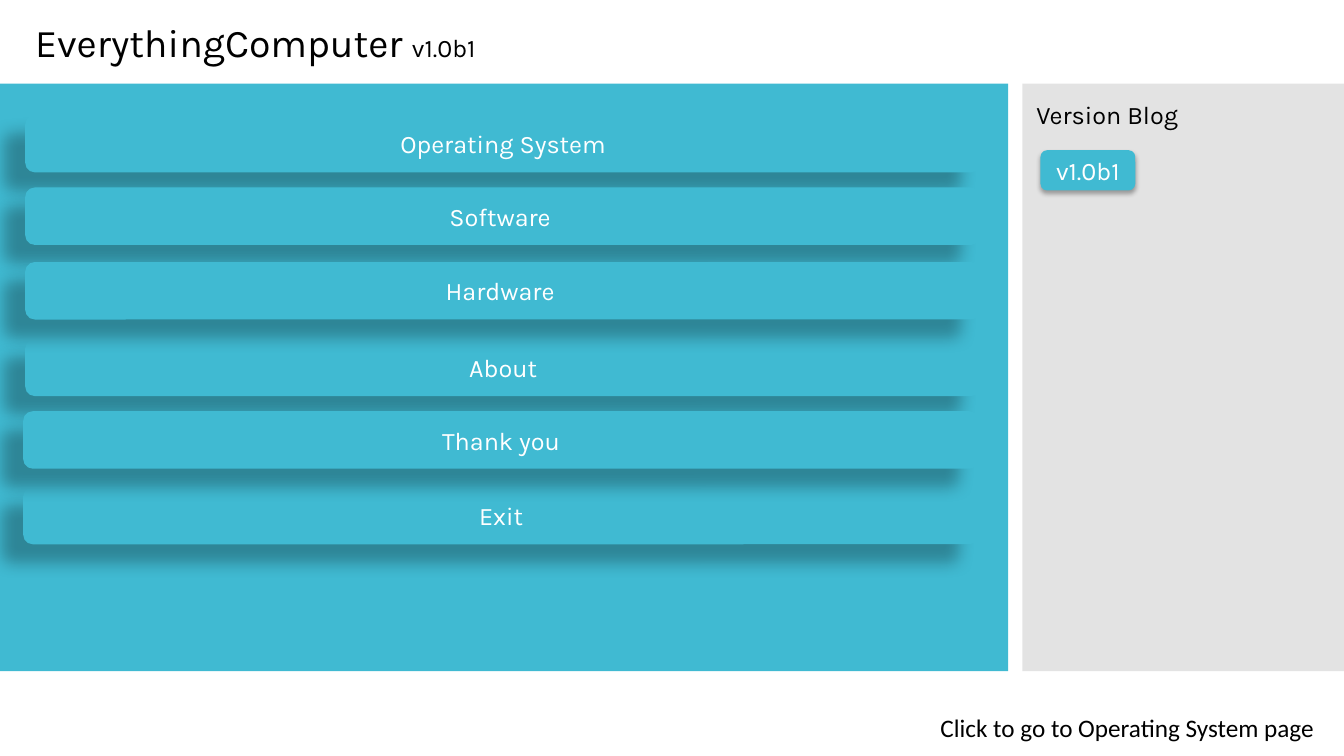
from pptx import Presentation
from pptx.dml.color import RGBColor
from pptx.enum.shapes import MSO_SHAPE as SHAPE
from pptx.enum.text import MSO_ANCHOR as ANCHOR, MSO_AUTO_SIZE as AUTO, PP_ALIGN as ALIGN
from pptx.oxml import parse_xml
from pptx.oxml.ns import nsdecls, qn
from pptx.util import Pt

PX = 9144
COLORS = {"teal": "40BAD2", "gray": "C8C8C8", "black": "000000", "white": "FFFFFF"}
MENU_SHADOW = (28, 11.8, 19.7, 141)
TAG_SHADOW = (32, 3.5, 2.2, 90)

prs = Presentation()
prs.slide_width, prs.slide_height = 1333 * PX, 750 * PX
s = prs.slides.add_slide(prs.slide_layouts[6])


def add_box(kind, box, color, shadow=None):
    sp = s.shapes.add_shape(kind, *(v * PX for v in box))
    sp.shadow.inherit = False
    sp.fill.solid()
    sp.fill.fore_color.rgb = RGBColor.from_string(COLORS[color])
    sp.line.fill.background()
    if shadow:
        alpha, blur, dist, angle = shadow
        effects = sp._element.spPr.find(qn("a:effectLst"))
        effects.append(parse_xml(
            f'<a:outerShdw {nsdecls("a")} blurRad="{Pt(blur)}" dist="{Pt(dist)}" '
            f'dir="{angle * 60000}" algn="ctr" rotWithShape="0">'
            f'<a:srgbClr val="{COLORS["black"]}"><a:alpha val="{alpha * 1000}"/></a:srgbClr>'
            '</a:outerShdw>'))
    return sp


def add_runs(sp, runs, color, font="Karla"):
    p = sp.text_frame.paragraphs[0]
    for text, size in runs:
        r = p.add_run()
        r.text = text
        r.font.name = font
        r.font.size = Pt(size)
        r.font.color.rgb = RGBColor.from_string(COLORS[color])
    return p


add_box(SHAPE.RECTANGLE, (0, 83, 1000, 583), "teal")
sidebar = add_box(SHAPE.RECTANGLE, (1014, 83, 319, 583), "gray")
rgb = sidebar._element.spPr.find(qn("a:solidFill"))[0]
rgb.append(parse_xml(f'<a:alpha {nsdecls("a")} val="50000"/>'))

buttons = [
    ("Operating System", (25, 114, 948, 57), MENU_SHADOW),
    ("Software ", (25, 186, 948, 57), MENU_SHADOW),
    ("About", (25, 336, 948, 57), MENU_SHADOW),
    ("Exit", (23, 483, 948, 57), MENU_SHADOW),
    ("Hardware ", (25, 260, 948, 57), MENU_SHADOW),
    ("Thank you", (23, 408, 948, 57), MENU_SHADOW),
    ("v1.0b1", (1032, 149, 94, 40), TAG_SHADOW),
]
for text, box, shadow in buttons:
    sp = add_box(SHAPE.ROUNDED_RECTANGLE, box, "teal", shadow)
    sp.text_frame.vertical_anchor = ANCHOR.MIDDLE
    p = add_runs(sp, [(text, 18)], "white")
    p.alignment = ALIGN.CENTER

labels = [
    ((25, 13, 473, 57), "Karla", [("EverythingComputer ", 28), ("v1.0b1", 18)]),
    ((1018, 94, 163, 40), "Karla", [("Version Blog", 18)]),
    ((923, 702, 417, 40), "Calibri", [("Click to go to Operating System page", 18)]),
]
for box, font, runs in labels:
    sp = s.shapes.add_textbox(*(v * PX for v in box))
    tf = sp.text_frame
    tf.word_wrap = False
    tf.auto_size = AUTO.SHAPE_TO_FIT_TEXT
    add_runs(sp, runs, "black", font)

prs.save("out.pptx")
